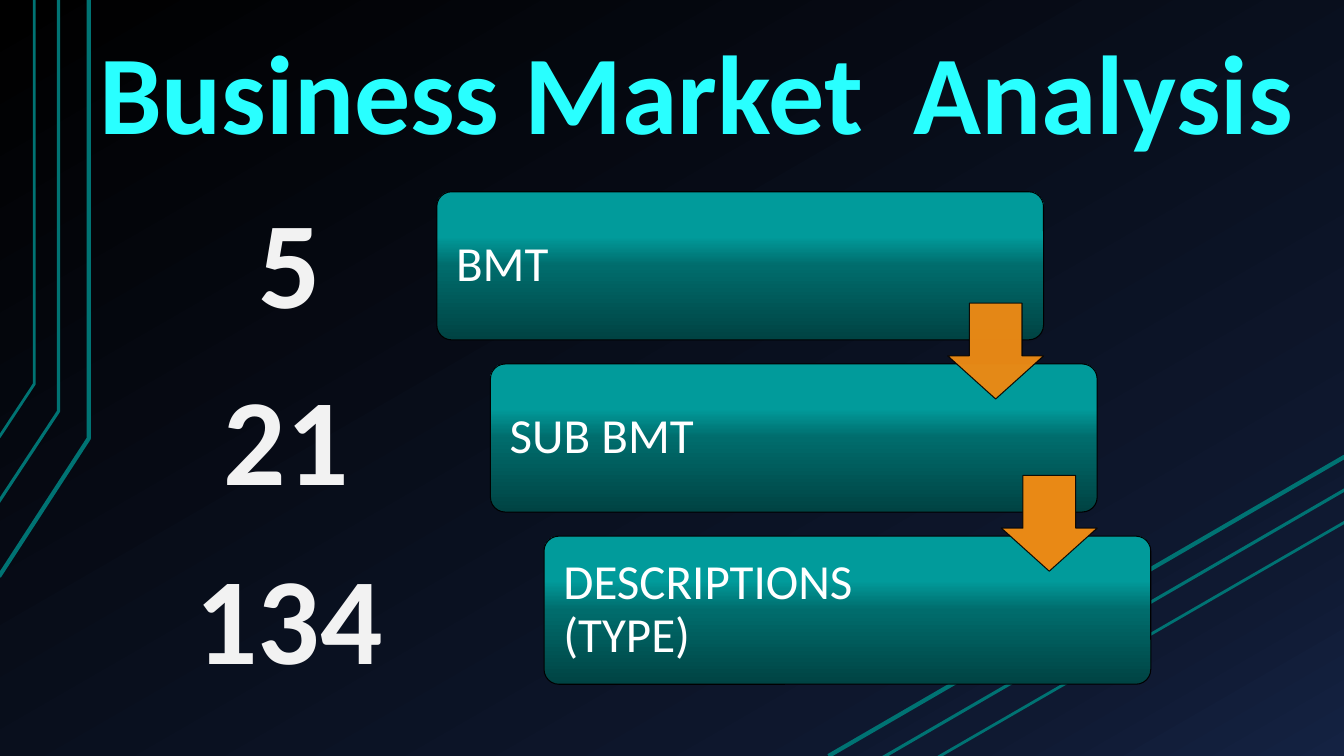
from dataclasses import dataclass
from typing import Any

from lxml.etree import SubElement
from pptx import Presentation
from pptx.dml.color import RGBColor
from pptx.enum.shapes import MSO_CONNECTOR as Connector, MSO_SHAPE as Shape
from pptx.enum.text import MSO_ANCHOR as Anchor, MSO_AUTO_SIZE as AutoSize, PP_ALIGN as Align
from pptx.oxml.ns import qn
from pptx.util import Pt

COLORS = {
    "trace": "007373",
    "title": "29FFFF",
    "number": "F2F2F2",
    "number_outline": "AF6710",
    "label": "FFFFFF",
    "arrow": "E98915",
    "outline": "000000",
}
BACKGROUND_STOPS = ((0, "000000"), (85, "0F1931"), (100, "142242"))
STEP_STOPS = ((0, "004343"), (50, "006C6C"), (70, "019B9B"), (100, "009999"))

STEP_LEFT, STEP_TOP, STEP_WIDTH, STEP_HEIGHT = 312, 137, 433.4, 105.8
STEP_SHIFT, STEP_PITCH = 38.3, 123
LABEL_OFFSET, LABEL_WIDTH, LABEL_HEIGHT, LABEL_INSET = 3, 320, 99.4, 10.8
ARROW_LEFT, ARROW_TOP, ARROW_SIZE = 677, 216.6, 68.4

TITLE_FONT = {"name": "Calibri", "size": Pt(80), "bold": True}
NUMBER_FONT = {"name": "Calibri", "size": Pt(88), "bold": True}
LABEL_FONT = {"name": "Calibri", "size": Pt(35)}
CENTERED = {"alignment": Align.CENTER}
LABEL_PARAGRAPH = {"line_spacing": 0.9}
GROWING_FRAME = {"word_wrap": True, "auto_size": AutoSize.SHAPE_TO_FIT_TEXT}
LABEL_FRAME = {
    "word_wrap": True,
    "vertical_anchor": Anchor.MIDDLE,
    "margin_left": Pt(LABEL_INSET),
    "margin_right": Pt(LABEL_INSET),
    "margin_top": Pt(LABEL_INSET),
    "margin_bottom": Pt(LABEL_INSET),
}


@dataclass(frozen=True)
class Box:
    left: float
    top: float
    width: float
    height: float

    def lengths(self) -> tuple:
        return Pt(self.left), Pt(self.top), Pt(self.width), Pt(self.height)


@dataclass(frozen=True)
class Trace:
    points: tuple
    weight: float


@dataclass(frozen=True)
class Step:
    number: str
    label: str
    number_left: float
    number_top: float


ELBOWS = (
    Trace(((-0.7, 411.8), (63.4, 313.2), (63.4, 0)), 3),
    Trace(((-1.4, 359.3), (41.8, 293.8), (41.8, 0)), 2.25),
    Trace(((-0.7, 312.5), (24.5, 274.3), (24.5, 0)), 2),
)
DIAGONALS = (
    Trace(((591.8, 540), (960.5, 326.2)), 3),
    Trace(((630, 541.4), (960.5, 349.9)), 2.25),
    Trace(((670.3, 540.7), (960.5, 373)), 2),
)
STEPS = (
    Step("5", "BMT", 119.5, 128.9),
    Step("21", "SUB BMT", 117.4, 255.6),
    Step("134", "DESCRIPTIONS (TYPE)", 119.5, 383),
)
ARROW_OPACITIES = (98, 100)
ARROW_LINE_OPACITY = 90


def apply_format(target: Any, values: dict) -> None:
    for name, value in values.items():
        setattr(target, name, value)


def paint_gradient(fill: Any, element: Any, stops: tuple, angle: float) -> None:
    fill.gradient()
    fill.gradient_angle = angle
    stop_list = next(element.iter(qn("a:gsLst")))
    for stop in list(stop_list):
        stop_list.remove(stop)
    for position, color in stops:
        stop = SubElement(stop_list, qn("a:gs"), pos=str(position * 1000))
        SubElement(stop, qn("a:srgbClr"), val=color)


def set_line(shape: Any, color: str, weight: float) -> None:
    shape.line.color.rgb = RGBColor.from_string(COLORS[color])
    shape.line.width = Pt(weight)


def add_elbow(slide: Any, trace: Trace) -> None:
    start, *rest = [(Pt(x), Pt(y)) for x, y in trace.points]
    builder = slide.shapes.build_freeform(*start)
    builder.add_line_segments(rest, close=False)
    shape = builder.convert_to_shape()
    shape.shadow.inherit = False
    shape.fill.background()
    set_line(shape, "trace", trace.weight)


def add_diagonal(slide: Any, trace: Trace) -> None:
    ends = [Pt(value) for point in trace.points for value in point]
    connector = slide.shapes.add_connector(Connector.STRAIGHT, *ends)
    set_line(connector, "trace", trace.weight)
    SubElement(connector.element.spPr, qn("a:effectLst"))


def add_text(slide: Any, box: Box, text: str, color: str, font: dict,
             paragraph_format: dict, frame_format: dict) -> Any:
    frame = slide.shapes.add_textbox(*box.lengths()).text_frame
    apply_format(frame, frame_format)
    paragraph = frame.paragraphs[0]
    apply_format(paragraph, paragraph_format)
    run = paragraph.add_run()
    run.text = text
    apply_format(run.font, font)
    run.font.color.rgb = RGBColor.from_string(COLORS[color])
    return run


def add_step(slide: Any, step: Step, index: int) -> None:
    left = STEP_LEFT + index * STEP_SHIFT
    top = STEP_TOP + index * STEP_PITCH
    box = Box(left, top, STEP_WIDTH, STEP_HEIGHT)
    shape = slide.shapes.add_shape(Shape.ROUNDED_RECTANGLE, *box.lengths())
    shape.shadow.inherit = False
    shape.adjustments[0] = 0.1
    paint_gradient(shape.fill, shape.element, STEP_STOPS, 90)
    set_line(shape, "outline", 0.75)
    label_box = Box(left + LABEL_OFFSET, top + LABEL_OFFSET, LABEL_WIDTH, LABEL_HEIGHT)
    add_text(slide, label_box, step.label, "label", LABEL_FONT, LABEL_PARAGRAPH, LABEL_FRAME)


def add_arrow(slide: Any, index: int, opacity: int) -> None:
    box = Box(ARROW_LEFT + index * STEP_SHIFT, ARROW_TOP + index * STEP_PITCH,
              ARROW_SIZE, ARROW_SIZE)
    shape = slide.shapes.add_shape(Shape.DOWN_ARROW, *box.lengths())
    shape.shadow.inherit = False
    shape.adjustments[0] = 0.55
    shape.adjustments[1] = 0.45
    shape.fill.solid()
    shape.fill.fore_color.rgb = RGBColor.from_string(COLORS["arrow"])
    set_line(shape, "outline", 0.75)
    colors = list(shape.element.spPr.iter(qn("a:srgbClr")))
    for color, percent in zip(colors, (opacity, ARROW_LINE_OPACITY)):
        SubElement(color, qn("a:alpha"), val=str(percent * 1000))


def add_number(slide: Any, step: Step) -> None:
    box = Box(step.number_left, step.number_top, 174.2, 113.8)
    run = add_text(slide, box, step.number, "number", NUMBER_FONT, CENTERED, GROWING_FRAME)
    properties = run.font.fill and next(slide.shapes[-1].element.iter(qn("a:rPr")))
    outline = SubElement(properties, qn("a:ln"), w=str(Pt(1.75)))
    solid = SubElement(outline, qn("a:solidFill"))
    SubElement(solid, qn("a:srgbClr"), val=COLORS["number_outline"])
    properties.insert(0, outline)


def main() -> None:
    presentation = Presentation()
    apply_format(presentation, {"slide_width": Pt(960), "slide_height": Pt(540)})
    slide = presentation.slides.add_slide(presentation.slide_layouts[6])
    paint_gradient(slide.background.fill, slide.element, BACKGROUND_STOPS, 300)
    for trace in ELBOWS:
        add_elbow(slide, trace)
    for trace in DIAGONALS:
        add_diagonal(slide, trace)
    add_text(slide, Box(54, 12.2, 887.8, 104.4), "Business Market  Analysis",
             "title", TITLE_FONT, CENTERED, GROWING_FRAME)
    for index, step in enumerate(STEPS):
        add_step(slide, step, index)
    for index, opacity in enumerate(ARROW_OPACITIES):
        add_arrow(slide, index, opacity)
    for step in STEPS:
        add_number(slide, step)
    presentation.save("out.pptx")


if __name__ == "__main__":
    main()
